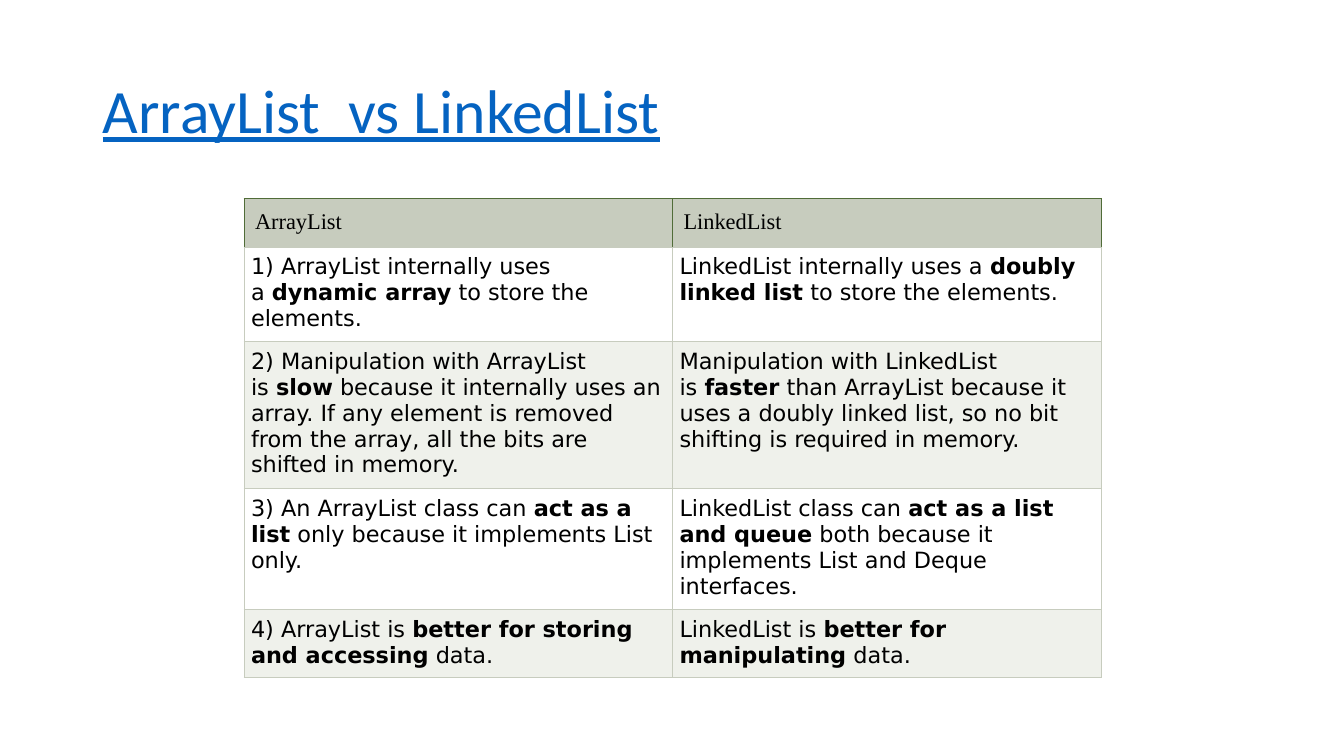
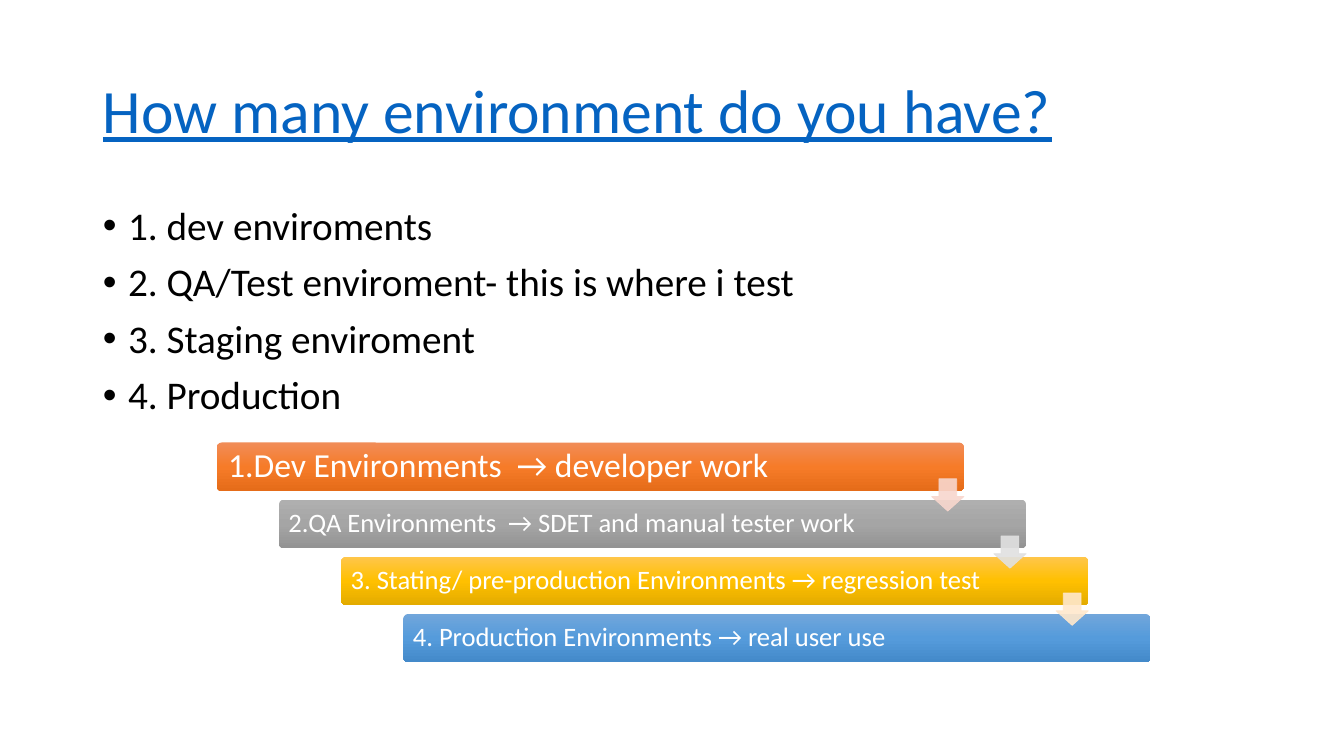
"""Build two Java interview slides: a list comparison and a chain of environments."""
from copy import deepcopy
from dataclasses import dataclass

from lxml import etree
from pptx import Presentation
from pptx import util as u
from pptx.dml import color as dml
from pptx.enum import shapes, text
from pptx.oxml import ns


@dataclass(frozen=True)
class Theme:
    """Colours, fonts and type sizes shared by the slides."""

    link: str = "0563C1"
    ink: str = "000000"
    paper: str = "FFFFFF"
    head: str = "C7CCBE"
    head_edge: str = "506C38"
    band: str = "EFF1EB"
    font: str = "Calibri"
    cell_font: str = "DejaVu Sans"
    head_font: str = "Times New Roman"
    title_size: int = 44
    body_size: int = 28
    lead_size: int = 24
    bar_size: int = 19
    cell_size: int = 16


THEME = Theme()

HEADINGS = ("ArrayList", "LinkedList")
ROW_HEIGHTS = (0.48, 0.94, 1.46, 1.2, 0.67)
COMPARISON = (
    (("1) ArrayList internally uses a", "dynamic array", "to store the elements."),
     ("LinkedList internally uses a", "doubly linked list", "to store the elements.")),
    (("2) Manipulation with ArrayList is", "slow",
      "because it internally uses an array. If any element is removed from the array, "
      "all the bits are shifted in memory."),
     ("Manipulation with LinkedList is", "faster",
      "than ArrayList because it uses a doubly linked list, "
      "so no bit shifting is required in memory.")),
    (("3) An ArrayList class can", "act as a list", "only because it implements List only."),
     ("LinkedList class can", "act as a list and queue",
      "both because it implements List and Deque interfaces.")),
    (("4) ArrayList is", "better for storing and accessing", "data."),
     ("LinkedList is", "better for manipulating", "data.")),
)
ENVIRONMENTS = (
    "1. dev enviroments",
    "2. QA/Test enviroment- this is where i test",
    "3. Staging enviroment",
    "4. Production",
)
STEPS = (
    ("1.Dev Environments  → developer work", ("F18C57", "F67B28", "E56C19"), "F8D7CE"),
    ("2.QA Environments  → SDET and manual tester work", ("AFAFAF", "A5A5A5", "939393"), "E1E1E1"),
    ("3. Stating/ pre-production Environments → regression test",
     ("FFC64B", "FFC000", "E3AB00"), "FFE8CC"),
    ("4. Production Environments → real user use", ("71A6DB", "559BDB", "448ACA"), None),
)


def rgb(value):
    """Turn a hex string into a colour."""
    return dml.RGBColor.from_string(value)


def write(para, words, *, size, color=THEME.ink, font=THEME.font, bold=False, underline=False):
    """Add one formatted run to a paragraph."""
    span = para.add_run()
    span.text = words
    span.font.size = u.Pt(size)
    span.font.name = font
    span.font.bold = bold
    span.font.underline = underline
    span.font.color.rgb = rgb(color)


def place(item, left, top, width, height):
    """Move and size a placeholder."""
    item.left, item.top = u.Inches(left), u.Inches(top)
    item.width, item.height = u.Inches(width), u.Inches(height)


def set_insets(target, inset):
    """Give a cell or text frame the same margin on all sides."""
    target.margin_left = target.margin_right = u.Inches(inset)
    target.margin_top = target.margin_bottom = u.Inches(inset)


def set_borders(cell, **colors):
    """Draw the four borders of a cell in the order the schema wants."""
    props = cell._tc.get_or_add_tcPr()
    for index, side in enumerate("LRTB"):
        line = etree.Element(ns.qn(f"a:ln{side}"), w=str(u.Pt(0.75)))
        fill = etree.SubElement(line, ns.qn("a:solidFill"))
        etree.SubElement(fill, ns.qn("a:srgbClr"), val=colors[side])
        props.insert(index, line)


def fade(fill, percent):
    """Set the opacity of a solid fill."""
    tone = fill._xPr.find(f".//{ns.qn('a:srgbClr')}")
    etree.SubElement(tone, ns.qn("a:alpha"), val=str(percent * 1000))


class Builder:
    """Holds the deck, its style and the slide being built."""

    def __init__(self, theme):
        """Start an empty widescreen deck."""
        self.theme = theme
        self.deck = Presentation()
        self.deck.slide_width = u.Inches(13.33)
        self.deck.slide_height = u.Inches(7.5)
        self.page = None

    def add_page(self, layout, title):
        """Add a slide with its underlined title."""
        self.page = self.deck.slides.add_slide(self.deck.slide_layouts.get_by_name(layout))
        box = self.page.shapes.title
        place(box, 0.92, 0.4, 11.5, 1.45)
        frame = box.text_frame
        frame.auto_size = text.MSO_AUTO_SIZE.NONE
        frame.vertical_anchor = text.MSO_ANCHOR.MIDDLE
        para = frame.paragraphs[0]
        para.alignment = text.PP_ALIGN.LEFT
        para.line_spacing = 0.9
        write(para, title, size=self.theme.title_size, color=self.theme.link, underline=True)

    def add_list(self, items):
        """Fill the body placeholder with bullets."""
        box = self.page.placeholders[1]
        place(box, 0.92, 2, 11.5, 4.76)
        frame = box.text_frame
        frame.auto_size = text.MSO_AUTO_SIZE.NONE
        for index, item in enumerate(items):
            para = frame.add_paragraph() if index else frame.paragraphs[0]
            para.line_spacing = 0.9
            para.space_before = u.Pt(10)
            props = para._p.get_or_add_pPr()
            props.set("marL", str(u.Inches(0.25)))
            props.set("indent", str(u.Inches(-0.25)))
            etree.SubElement(props, ns.qn("a:buChar"), char="•")
            write(para, item, size=self.theme.body_size)

    def add_comparison(self, headings, rows, heights):
        """Add a two-column table with bold key phrases."""
        theme = self.theme
        frame = self.page.shapes.add_table(
            len(heights), len(headings), u.Inches(2.42), u.Inches(1.97),
            u.Inches(8.5), u.Inches(sum(heights)))
        table = frame.table
        table.first_row = table.horz_banding = False
        for row, height in zip(table.rows, heights):
            row.height = u.Inches(height)
        edge = theme.head_edge
        for column, heading in enumerate(headings):
            para = self.style_cell(table.cell(0, column), theme.head, 0.11,
                                   L=edge, R=edge, T=edge, B=theme.head)
            write(para, heading, size=theme.cell_size, font=theme.head_font)
        hard_space = chr(160)
        for index, row in enumerate(rows, start=1):
            fill = theme.paper if index % 2 else theme.band
            for column, (lead, key, rest) in enumerate(row):
                para = self.style_cell(table.cell(index, column), fill, 0.07,
                                       **dict.fromkeys("LRTB", theme.head))
                for words, bold in ((lead + hard_space, False), (key, True),
                                    (hard_space + rest, False)):
                    write(para, words, size=theme.cell_size, font=theme.cell_font, bold=bold)

    def style_cell(self, cell, fill, inset, **borders):
        """Fill and frame a cell and return its paragraph."""
        cell.fill.solid()
        cell.fill.fore_color.rgb = rgb(fill)
        set_insets(cell, inset)
        set_borders(cell, **borders)
        return cell.text_frame.paragraphs[0]

    def add_shape(self, kind, left, top, width, height, adjustments):
        """Add a preset shape without a shadow."""
        shape = self.page.shapes.add_shape(
            kind, u.Inches(left), u.Inches(top), u.Inches(width), u.Inches(height))
        shape.shadow.inherit = False
        for index, value in enumerate(adjustments):
            shape.adjustments[index] = value
        return shape

    def add_bar(self, left, top, width, words, tones, size, inset):
        """Add a rounded bar with a vertical gradient and a label."""
        bar = self.add_shape(shapes.MSO_SHAPE.ROUNDED_RECTANGLE, left, top, width, 0.48, [0.1])
        bar.line.fill.background()
        bar.fill.gradient()
        bar.fill.gradient_angle = 270
        first = bar.fill._xPr.find(f".//{ns.qn('a:gs')}")
        first.addnext(deepcopy(first))
        for stop, tone, position in zip(bar.fill.gradient_stops, tones, (0, 0.5, 1)):
            stop.color.rgb = rgb(tone)
            stop.position = position
        frame = bar.text_frame
        frame.word_wrap = True
        frame.vertical_anchor = text.MSO_ANCHOR.MIDDLE
        set_insets(frame, inset)
        para = frame.paragraphs[0]
        para.alignment = text.PP_ALIGN.LEFT
        para.line_spacing = 0.9
        write(para, words, size=size, color=self.theme.paper)

    def add_arrow(self, left, top, size, tone):
        """Add a translucent down arrow."""
        arrow = self.add_shape(shapes.MSO_SHAPE.DOWN_ARROW, left, top, size, size, [0.55, 0.45])
        arrow.line.width = u.Pt(0.5)
        for fill in (arrow.fill, arrow.line.fill):
            fill.solid()
            fill.fore_color.rgb = rgb(tone)
            fade(fill, 90)

    def add_staircase(self, steps):
        """Add descending bars joined by arrows."""
        width, arrow_size = 7.41, 0.32
        corners = [(2.15 + 0.617 * index, 4.39 + 0.567 * index) for index in range(len(steps))]
        for index, ((left, top), (words, tones, _)) in enumerate(zip(corners, steps)):
            size, inset = (self.theme.bar_size, 0.08) if index else (self.theme.lead_size, 0.1)
            self.add_bar(left, top, width, words, tones, size, inset)
        for (left, top), (_, _, tone) in zip(corners, steps):
            if tone:
                self.add_arrow(left + width - arrow_size, top + 0.36, arrow_size, tone)


def main():
    """Build and save the deck."""
    builder = Builder(THEME)
    builder.add_page("Title Only", "ArrayList  vs LinkedList")
    builder.add_comparison(HEADINGS, COMPARISON, ROW_HEIGHTS)
    builder.add_page("Title and Content", "How many environment do you have?")
    builder.add_list(ENVIRONMENTS)
    builder.add_staircase(STEPS)
    builder.deck.save("out.pptx")


if __name__ == "__main__":
    main()
